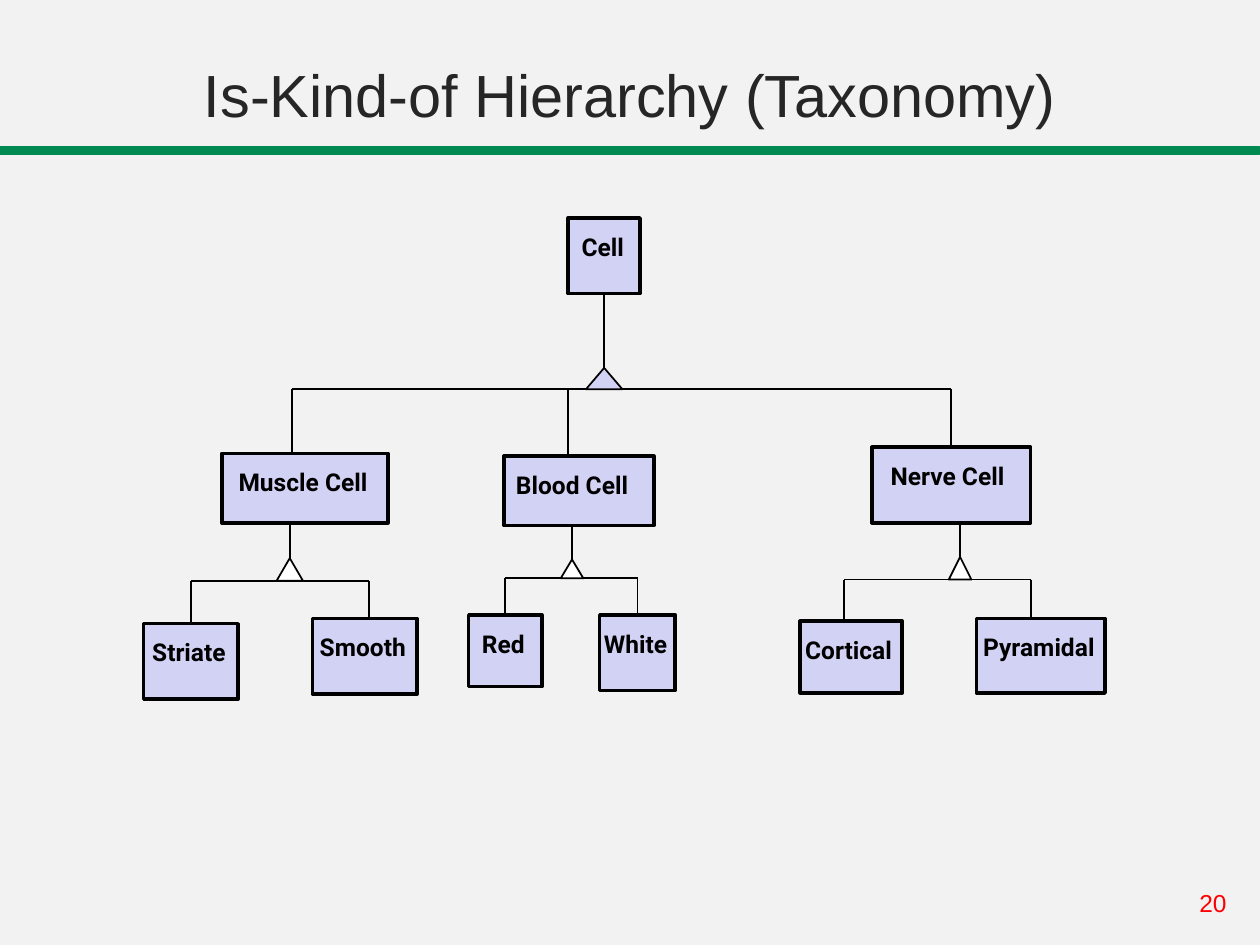
import pptx
import pptx.util
import pptx.dml.color
import pptx.enum.shapes
import pptx.enum.text
import pptx.oxml

Inches = pptx.util.Inches
SHAPES = pptx.enum.shapes.MSO_SHAPE
ALIGN = pptx.enum.text.PP_ALIGN
ANCHOR = pptx.enum.text.MSO_ANCHOR

# Content
TITLE = "Is-Kind-of Hierarchy (Taxonomy)"
PAGE_NUMBER = "20"
COLORS = {"background": "F2F2F2", "band": "018952", "box": "D2D2F4", "white": "FFFFFF",
          "black": "000000", "title": "262626", "number": "FF0000"}
# Class: left, top, width, height, right inset that sets the label off centre
CLASSES = {
    "Cell": (4.51, 1.73, 0.57, 0.6, 0.02),
    "Muscle Cell": (1.76, 3.6, 1.32, 0.55, 0.03),
    "Blood Cell": (4, 3.62, 1.19, 0.55, 0.11),
    "Nerve Cell": (6.92, 3.55, 1.26, 0.6, 0.06),
    "Striate": (1.14, 4.95, 0.75, 0.6, 0.03),
    "Smooth": (2.48, 4.91, 0.83, 0.6, 0.03),
    "Red": (3.72, 4.88, 0.58, 0.57, 0.03),
    "White": (4.76, 4.88, 0.6, 0.6, 0.03),
    "Cortical": (6.35, 4.93, 0.81, 0.57, 0.04),
    "Pyramidal": (7.75, 4.91, 1.02, 0.59, 0.03),
}
# Parent, stem x, rail y, triangle (width, height, fill), children with the x of their drops
BRANCHES = [
    ("Cell", 4.8, 3.09, (0.29, 0.17, "box"),
     {"Muscle Cell": 2.32, "Blood Cell": 4.51, "Nerve Cell": 7.53}),
    ("Muscle Cell", 2.3, 4.61, (0.21, 0.18, "white"), {"Striate": 1.5, "Smooth": 2.93}),
    ("Blood Cell", 4.54, 4.59, (0.18, 0.15, "white"), {"Red": 3.99, "White": 5.06}),
    ("Nerve Cell", 7.62, 4.6, (0.18, 0.18, "white"), {"Cortical": 6.7, "Pyramidal": 8.18}),
]
FONTS = {
    "title": {"name": "Arial", "size": pptx.util.Pt(34), "bold": False},
    "number": {"name": "Arial", "size": pptx.util.Pt(14)},
    "label": {"name": "Roboto", "size": pptx.util.Pt(14), "bold": True},
}
JOIN_TOLERANCE = 0.03
TOP, BOTTOM = 0, 2


def rgb(name):
    return pptx.dml.color.RGBColor.from_string(COLORS[name])


def write(shape, text, font, color, alignment, frame_format):
    frame = shape.text_frame
    for name, value in frame_format.items():
        setattr(frame, name, value)
    paragraph = frame.paragraphs[0]
    paragraph.alignment = alignment
    run = paragraph.add_run()
    run.text = text
    for name, value in FONTS[font].items():
        setattr(run.font, name, value)
    run.font.color.rgb = rgb(color)


def add_filled(slide, kind, bounds, fill, line, weight):
    shape = slide.shapes.add_shape(kind, *map(Inches, bounds))
    shape.shadow.inherit = False
    shape.fill.solid()
    shape.fill.fore_color.rgb = rgb(fill)
    shape.line.color.rgb = rgb(line)
    shape.line.width = pptx.util.Pt(weight)
    return shape


def add_line(slide, start, end):
    line = slide.shapes.add_connector(pptx.enum.shapes.MSO_CONNECTOR.STRAIGHT,
                                      *map(Inches, start + end))
    line.line.color.rgb = rgb("black")
    line.line.width = pptx.util.Pt(1)
    properties = line._element.spPr
    properties.append(pptx.oxml.parse_xml(
        '<a:effectLst xmlns:a="http://schemas.openxmlformats.org/drawingml/2006/main"/>'))
    return line


def snap(class_name, x):
    """Return the box's middle and True where x lies close enough to join it."""
    left, _, width, _, _ = CLASSES[class_name]
    middle = left + width / 2
    joined = abs(x - middle) < JOIN_TOLERANCE
    return (middle if joined else x), joined


def add_branch(slide, boxes, parent, stem_x, rail_y, triangle, children):
    width, height, fill = triangle
    _, parent_top, _, parent_height, _ = CLASSES[parent]
    # Stem under the parent
    stem_x, joined = snap(parent, stem_x)
    stem = add_line(slide, (stem_x, parent_top + parent_height), (stem_x, rail_y - height))
    if joined:
        stem.begin_connect(boxes[parent], BOTTOM)
    # Drops to the children, then the rail over them
    drops = {child: snap(child, x) for child, x in children.items()}
    for child, (x, joined) in drops.items():
        drop = add_line(slide, (x, rail_y), (x, CLASSES[child][1]))
        if joined:
            drop.end_connect(boxes[child], TOP)
    columns = [x for x, _ in drops.values()]
    add_line(slide, (min(columns), rail_y), (max(columns), rail_y))
    add_filled(slide, SHAPES.ISOSCELES_TRIANGLE,
               (stem_x - width / 2, rail_y - height, width, height), fill, "black", 1)


def main():
    presentation = pptx.Presentation()
    presentation.slide_width, presentation.slide_height = Inches(10), Inches(7.5)
    slide = presentation.slides.add_slide(presentation.slide_layouts[5])
    slide.background.fill.solid()
    slide.background.fill.fore_color.rgb = rgb("background")

    # Title, band and page number
    title = slide.shapes.title
    title.left, title.top, title.width, title.height = map(Inches, (0, 0, 10, 1.08))
    write(title, TITLE, "title", "title", ALIGN.CENTER,
          {"vertical_anchor": ANCHOR.BOTTOM, "word_wrap": True})
    add_filled(slide, SHAPES.RECTANGLE, (0, 1.17, 10, 0.05), "band", "band", 1.75)
    number = slide.shapes.add_textbox(*map(Inches, (9.42, 7, 0.58, 0.34)))
    write(number, PAGE_NUMBER, "number", "number", ALIGN.LEFT, {"word_wrap": True})

    # Class boxes
    boxes = {}
    for name, (*bounds, right_inset) in CLASSES.items():
        boxes[name] = add_filled(slide, SHAPES.RECTANGLE, bounds, "box", "black", 2)
        write(boxes[name], name, "label", "black", ALIGN.CENTER,
              {"vertical_anchor": ANCHOR.TOP, "word_wrap": True, "margin_left": 0,
               "margin_right": Inches(right_inset), "margin_top": Inches(0.11),
               "margin_bottom": 0})

    # Inheritance lines
    for branch in BRANCHES:
        add_branch(slide, boxes, *branch)

    presentation.save("out.pptx")


if __name__ == "__main__":
    main()
